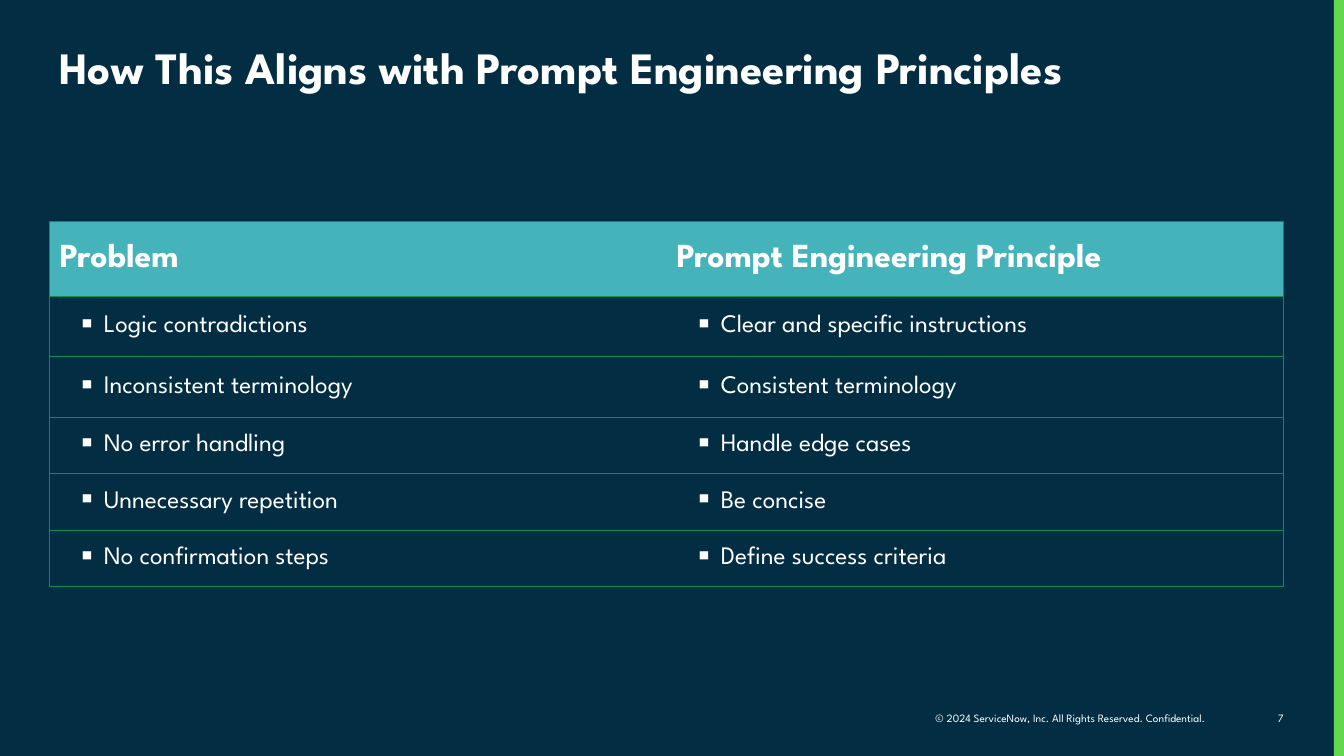
from lxml import etree
from pptx import Presentation
from pptx.dml.color import RGBColor
from pptx.enum.shapes import MSO_SHAPE as Shape
from pptx.enum.text import MSO_ANCHOR as Anchor, PP_ALIGN as Align
from pptx.oxml.ns import qn
from pptx.util import Inches, Pt

NAVY = RGBColor(0x03, 0x2D, 0x42)
LIME = RGBColor(0x62, 0xD8, 0x4E)
TEAL = RGBColor(0x45, 0xB4, 0xBA)
GREEN = RGBColor(0x00, 0x91, 0x56)
WHITE = RGBColor(0xFF, 0xFF, 0xFF)
FONT = "League Spartan"

WIDE, HIGH = 13.33, 7.5
LEFT, SPAN = 0.49, 12.24
HEADS = ("Problem", "Prompt Engineering Principle")
PAIRS = (
    ("Logic contradictions", "Clear and specific instructions"),
    ("Inconsistent terminology", "Consistent terminology"),
    ("No error handling", "Handle edge cases"),
    ("Unnecessary repetition", "Be concise"),
    ("No confirmation steps", "Define success criteria"),
)
ROWS = (0.74, 0.6, 0.6, 0.56, 0.56, 0.56)


def write(frame, text, size=18, bold=False, align=Align.LEFT, bullet=None,
          line=None):
    """Fill a text frame with one formatted paragraph."""
    frame.word_wrap = True
    para = frame.paragraphs[0]
    para.alignment = align
    if line:
        para.line_spacing = line
    if bullet:
        para.level = 1
        para.space_before, para.space_after = Pt(4), Pt(6)
        props = para._p.get_or_add_pPr()
        props.set("marL", str(Inches(0.44)))
        props.set("indent", str(Inches(-0.26)))
        etree.SubElement(props, qn("a:buChar")).set("char", bullet)
    run = para.add_run()
    run.text = text
    font = run.font
    font.name, font.size, font.bold = FONT, Pt(size), bold
    font.color.rgb = WHITE


def label(slide, text, box, anchor=Anchor.TOP, **style):
    frame = slide.shapes.add_textbox(*map(Inches, box)).text_frame
    frame.vertical_anchor = anchor
    write(frame, text, **style)


def edge(cell, side, color=None):
    """Draw one cell border, or clear it when no colour is given."""
    line = etree.SubElement(cell._tc.get_or_add_tcPr(), qn("a:ln" + side))
    line.set("w", str(Pt(0.5)))
    if color is None:
        etree.SubElement(line, qn("a:noFill"))
    else:
        fill = etree.SubElement(line, qn("a:solidFill"))
        etree.SubElement(fill, qn("a:srgbClr")).set("val", str(color))


def grid(slide, top):
    data = (HEADS,) + PAIRS
    cols = len(HEADS)
    table = slide.shapes.add_table(
        len(data), cols, Inches(LEFT), Inches(top),
        Inches(SPAN), Inches(sum(ROWS))).table
    table.horz_banding = False
    for col in table.columns:
        col.width = Inches(SPAN / cols)
    for r, texts in enumerate(data):
        table.rows[r].height = Inches(ROWS[r])
        for c, text in enumerate(texts):
            cell = table.cell(r, c)
            cell.vertical_anchor = Anchor.MIDDLE
            # Only the outer vertical edges show
            edge(cell, "L", GREEN if c == 0 else None)
            edge(cell, "R", GREEN if c == cols - 1 else None)
            edge(cell, "T", GREEN)
            edge(cell, "B", GREEN)
            if r == 0:
                cell.fill.solid()
                cell.fill.fore_color.rgb = TEAL
                write(cell.text_frame, text, size=24, bold=True)
            else:
                cell.fill.background()
                write(cell.text_frame, text, bullet="▪")


def stripe(slide, width):
    bar = slide.shapes.add_shape(
        Shape.RECTANGLE, Inches(WIDE - width), 0, Inches(width), Inches(HIGH))
    bar.shadow.inherit = False
    bar.fill.solid()
    bar.fill.fore_color.rgb = LIME
    bar.line.fill.background()


def main():
    deck = Presentation()
    deck.slide_width, deck.slide_height = Inches(WIDE), Inches(HIGH)
    slide = deck.slides.add_slide(deck.slide_layouts[6])
    slide.background.fill.solid()
    slide.background.fill.fore_color.rgb = NAVY

    # Footer and side stripe
    label(slide, "© 2024 ServiceNow, Inc. All Rights Reserved. Confidential.",
          (8.68, 7.01, 3.38, 0.23), Anchor.MIDDLE, size=8, align=Align.RIGHT)
    label(slide, "7", (12.1, 7.01, 0.73, 0.25), size=8, align=Align.RIGHT)
    stripe(slide, 0.1)

    # Title and table
    label(slide, "How This Aligns with Prompt Engineering Principles",
          (LEFT, 0.4, SPAN, 1.31), size=32, bold=True, line=0.9)
    grid(slide, 2.2)
    deck.save("out.pptx")


if __name__ == "__main__":
    main()
